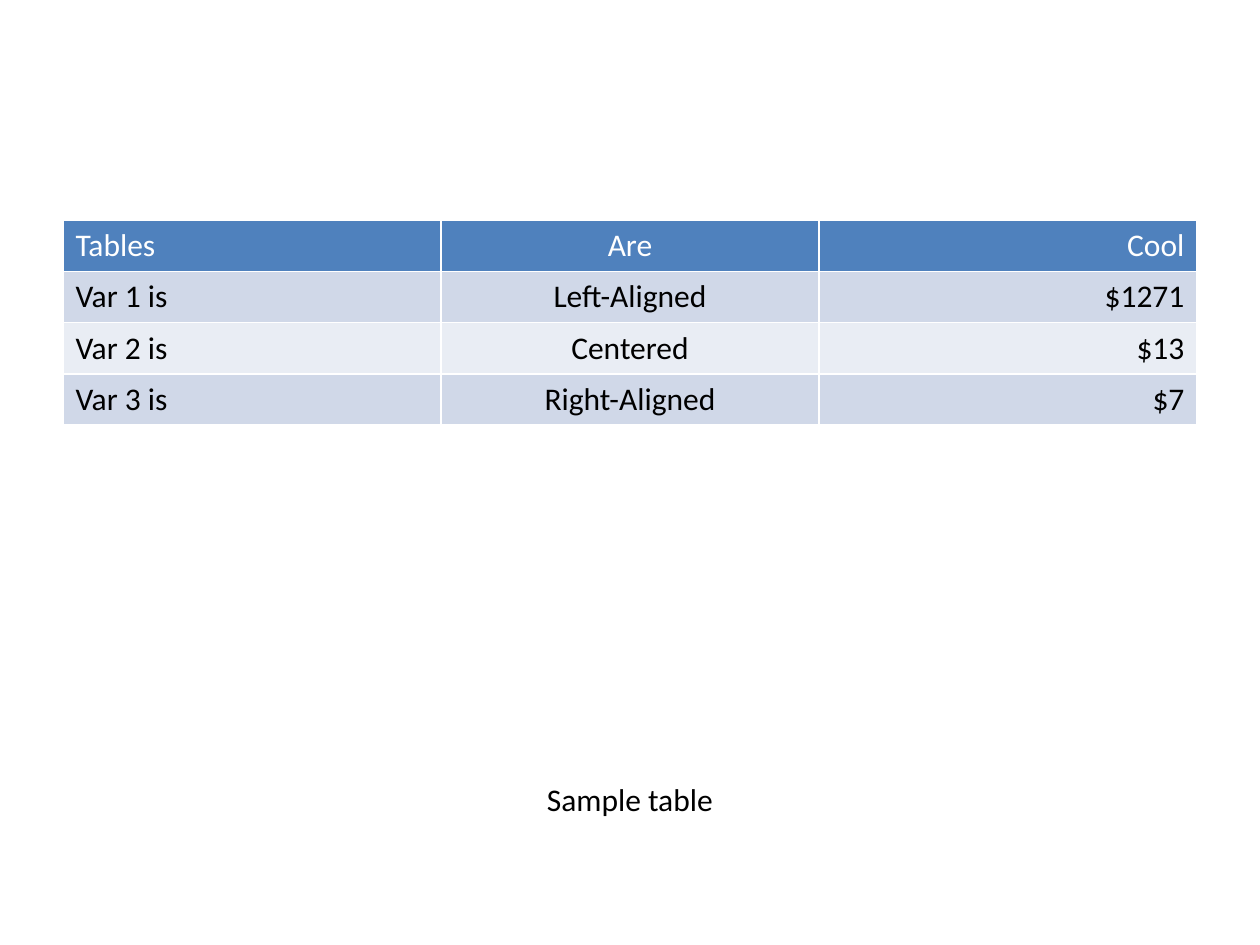
from pptx import Presentation
from pptx.dml.color import RGBColor
from pptx.enum.text import PP_ALIGN
from pptx.util import Pt

LEFT, CENTER, RIGHT = PP_ALIGN.LEFT, PP_ALIGN.CENTER, PP_ALIGN.RIGHT
WHITE = RGBColor(0xFF, 0xFF, 0xFF)
BLACK = RGBColor(0x00, 0x00, 0x00)
HEADER_BLUE = RGBColor(0x4F, 0x81, 0xBD)
BAND_DARK = RGBColor(0xD0, 0xD8, 0xE8)
BAND_LIGHT = RGBColor(0xE9, 0xED, 0xF4)

FONT = "Calibri"
BLANK_LAYOUT = 6
MARGIN = 36
CONTENT_WIDTH = 648
ROW_HEIGHT = 29.2
COLUMN_ALIGNMENTS = (LEFT, CENTER, RIGHT)
ROWS = (
    ("Tables", "Are", "Cool"),
    ("Var 1 is", "Left-Aligned", "$1271"),
    ("Var 2 is", "Centered", "$13"),
    ("Var 3 is", "Right-Aligned", "$7"),
)


def write_text(frame, text, color=BLACK, align=LEFT, size=18):
    para = frame.paragraphs[0]
    para.alignment = align
    span = para.add_run()
    span.text = text
    span.font.name = FONT
    span.font.size = Pt(size)
    span.font.bold = False
    span.font.color.rgb = color


def row_colors(row_index):
    if row_index == 0:
        return HEADER_BLUE, WHITE
    return (BAND_DARK if row_index % 2 else BAND_LIGHT), BLACK


def add_data_table(page, rows, top):
    table = page.shapes.add_table(
        len(rows), len(rows[0]), Pt(MARGIN), Pt(top),
        Pt(CONTENT_WIDTH), Pt(ROW_HEIGHT * len(rows)),
    ).table
    for row_index, texts in enumerate(rows):
        fill_color, text_color = row_colors(row_index)
        for column_index, text in enumerate(texts):
            cell = table.cell(row_index, column_index)
            cell.fill.solid()
            cell.fill.fore_color.rgb = fill_color
            write_text(cell.text_frame, text, color=text_color,
                       align=COLUMN_ALIGNMENTS[column_index])


def add_caption(page, text, top, height):
    box = page.shapes.add_textbox(
        Pt(MARGIN), Pt(top), Pt(CONTENT_WIDTH), Pt(height))
    box.text_frame.word_wrap = True
    write_text(box.text_frame, text, align=CENTER)


def main():
    deck = Presentation()
    deck.slide_width, deck.slide_height = Pt(720), Pt(540)
    page = deck.slides.add_slide(deck.slide_layouts[BLANK_LAYOUT])
    add_data_table(page, ROWS, top=126)
    add_caption(page, "Sample table", top=442, height=40)
    deck.save("out.pptx")


main()
